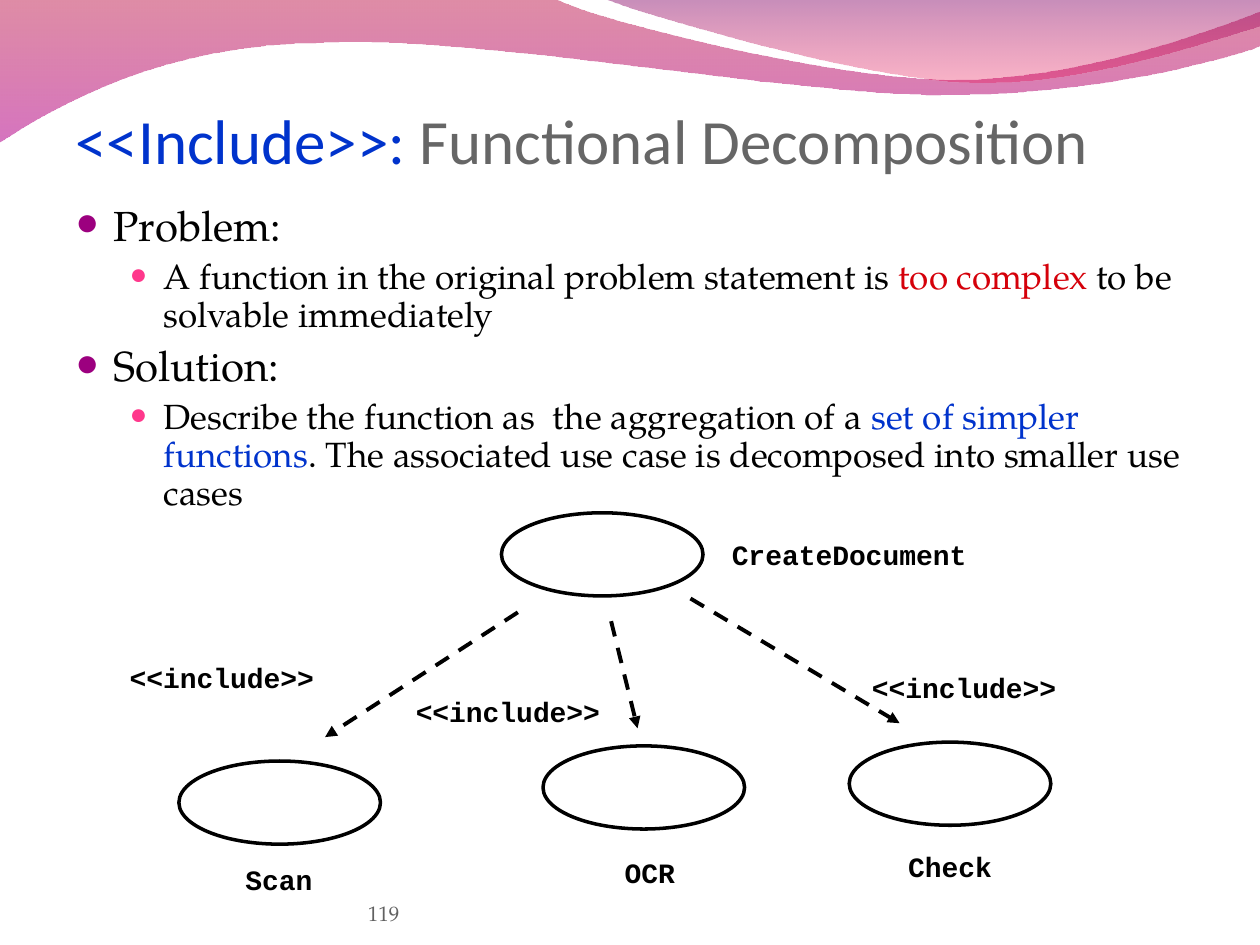
import pptx
import pptx.util
import pptx.dml.color
import pptx.enum.dml
import pptx.enum.shapes
import pptx.enum.text
import pptx.oxml
import pptx.oxml.ns

Inches = pptx.util.Inches
Pt = pptx.util.Pt
RGBColor = pptx.dml.color.RGBColor
MSO_ANCHOR = pptx.enum.text.MSO_ANCHOR
qn = pptx.oxml.ns.qn
NAMESPACE = pptx.oxml.ns.nsdecls("a")

BLACK = RGBColor(0x00, 0x00, 0x00)
BLUE = RGBColor(0x00, 0x33, 0xCC)
RED = RGBColor(0xD5, 0x00, 0x0A)
TITLE_GRAY = RGBColor(0x66, 0x66, 0x66)
NUMBER_GRAY = RGBColor(0x61, 0x61, 0x61)
PURPLE = RGBColor(0x9C, 0x00, 0x7F)
HOT_PINK = RGBColor(0xFF, 0x38, 0x8C)
ROSE = RGBColor(0xB8, 0x00, 0x3B)
MAGENTA = RGBColor(0xB4, 0x00, 0x8B)
PLUM = RGBColor(0x82, 0x00, 0x66)
PINK = RGBColor(0xF1, 0x00, 0x44)

SERIF, SANS, MONO = "TeX Gyre Pagella", "Calibri", "Courier New"

TITLE = [("<<Include>>:", BLUE), (" Functional Decomposition", TITLE_GRAY)]
BODY = [
    (0, [("Problem:", BLACK)]),
    (1, [("A function in the original problem statement is ", BLACK),
         ("too complex", RED),
         (" to be solvable immediately", BLACK)]),
    (0, [("Solution:", BLACK)]),
    (1, [("Describe the function as  the aggregation of a ", BLACK),
         ("set of simpler functions", BLUE),
         (". The associated use case is decomposed into smaller use cases", BLACK)]),
]
LEVELS = [
    dict(size=24, before=6, margin=0.3, hang=0.3, bullet=PURPLE, scale=95),
    dict(size=20, before=5, margin=0.7, hang=0.27, bullet=HOT_PINK, scale=85),
]
USE_CASES = [
    ("CreateDocument", (3.98, 4.07), (5.71, 4.22, 2.06)),
    ("Scan", (1.42, 6.04), (1.85, 6.8, 0.73)),
    ("OCR", (4.31, 5.92), (4.86, 6.74, 0.59)),
    ("Check", (6.74, 5.89), (7.11, 6.69, 0.86)),
]
INCLUDES = [
    ((4.11, 4.86), (2.58, 5.85), (1.03, 5.24)),
    ((4.85, 4.93), (5.06, 5.78), (3.3, 5.51)),
    ((5.48, 4.75), (7.14, 5.74), (6.92, 5.32)),
]
WAVES = [
    ([[(0, -0.01)], [(4.4, -0.01)],
      [(4.76, 0.17), (6.64, 0.63), (7.58, 0.63)],
      [(8.53, 0.63), (9.58, 0.26), (10, 0.09)], [(10.01, 0.36)],
      [(9.83, 0.44), (8.7, 0.76), (7.46, 0.75)],
      [(6.22, 0.75), (3.82, 0.28), (2.57, 0.34)],
      [(1.29, 0.35), (0.46, 0.83), (-0.01, 1.13)]],
     [(ROSE, 45), (MAGENTA, 55)]),
    ([[(4.79, -0.01)],
      [(5.09, 0.11), (6.82, 0.62), (7.69, 0.65)],
      [(8.56, 0.69), (9.61, 0.32), (10, 0.21)], [(10, 0)]],
     [(PLUM, 45), (PINK, 30)]),
]


def element(markup):
    tag, _, rest = markup.partition(" ")
    return pptx.oxml.parse_xml(f"<a:{tag} {NAMESPACE} {rest}")


def bend_segments(wave, segments):
    lines = iter(wave.element.findall(".//" + qn("a:lnTo")))
    for segment in segments[1:]:
        pieces = [next(lines) for _ in segment]
        if len(pieces) == 3:
            curve = element("cubicBezTo />")
            pieces[0].addprevious(curve)
            for piece in pieces:
                curve.append(piece[0])
                piece.getparent().remove(piece)


def add_wave(slide, segments, stops):
    points = [(Inches(x), Inches(y)) for segment in segments for x, y in segment]
    builder = slide.shapes.build_freeform(*points[0])
    builder.add_line_segments(points[1:], close=True)
    wave = builder.convert_to_shape()
    bend_segments(wave, segments)
    wave.shadow.inherit = False
    wave.line.fill.background()
    wave.fill.gradient()
    wave.fill.gradient_angle = 270
    for stop, (color, _) in zip(wave.fill.gradient_stops, stops):
        stop.color.rgb = color
    tints = wave.element.spPr.findall(".//" + qn("a:srgbClr"))
    for tint, (_, opacity) in zip(tints, stops):
        tint.append(element(f'alpha val="{opacity * 1000}"/>'))


def add_runs(paragraph, runs, font, size, bold=False):
    for text, color in runs:
        run = paragraph.add_run()
        run.text = text
        run.font.name = font
        run.font.size = Pt(size)
        run.font.bold = bold
        run.font.color.rgb = color


def set_frame(frame, inset=(0.1, 0.05), anchor=MSO_ANCHOR.TOP, wrap=True):
    frame.auto_size = pptx.enum.text.MSO_AUTO_SIZE.NONE
    frame.word_wrap = wrap
    frame.vertical_anchor = anchor
    frame.margin_left = frame.margin_right = Inches(inset[0])
    frame.margin_top = frame.margin_bottom = Inches(inset[1])


def add_text(slide, box, runs, font, size, bold=False, **frame_options):
    frame = slide.shapes.add_textbox(*map(Inches, box)).text_frame
    set_frame(frame, **frame_options)
    add_runs(frame.paragraphs[0], runs, font, size, bold)


def add_bullet(paragraph, style):
    props = paragraph._p.get_or_add_pPr()
    props.set("marL", str(Inches(style["margin"])))
    props.set("indent", str(-Inches(style["hang"])))
    for markup in (f'buClr ><a:srgbClr val="{style["bullet"]}"/></a:buClr>',
                   f'buSzPct val="{style["scale"] * 1000}"/>',
                   f'buFont typeface="{MONO}"/>',
                   'buChar char="●"/>'):
        props.append(element(markup))


def add_body(slide):
    frame = slide.shapes.add_textbox(*map(Inches, (0.5, 1.58, 9.03, 2.75))).text_frame
    set_frame(frame)
    for index, (level, runs) in enumerate(BODY):
        paragraph = frame.add_paragraph() if index else frame.paragraphs[0]
        style = LEVELS[level]
        paragraph.level = level
        paragraph.line_spacing = 0.9
        paragraph.space_before = Pt(style["before"] if index else 0)
        add_bullet(paragraph, style)
        add_runs(paragraph, runs, SERIF, style["size"])


def add_use_case(slide, name, corner, label_box):
    oval = slide.shapes.add_shape(pptx.enum.shapes.MSO_SHAPE.OVAL,
                                  *map(Inches, (*corner, 1.6, 0.66)))
    oval.shadow.inherit = False
    oval.fill.background()
    oval.line.color.rgb = BLACK
    oval.line.width = Pt(2)
    add_text(slide, (*label_box, 0.36), [(name, BLACK)], MONO, 16, True, wrap=False)


def add_include(slide, start, end, label_corner):
    arrow = slide.shapes.add_connector(pptx.enum.shapes.MSO_CONNECTOR.STRAIGHT,
                                       *map(Inches, (*start, *end)))
    arrow.line.color.rgb = BLACK
    arrow.line.width = Pt(2.25)
    arrow.line.dash_style = pptx.enum.dml.MSO_LINE.DASH
    arrow.line._get_or_add_ln().append(element('tailEnd type="triangle"/>'))
    arrow._element.spPr.append(element("effectLst />"))
    add_text(slide, (*label_corner, 1.46, 0.27), [("<<include>>", BLACK)],
             MONO, 16, True, inset=(0, 0), wrap=False)


def main():
    deck = pptx.Presentation()
    deck.slide_width, deck.slide_height = Inches(10), Inches(7.5)
    slide = deck.slides.add_slide(deck.slide_layouts[5])

    for segments, stops in WAVES:
        add_wave(slide, segments, stops)

    title = slide.shapes.title
    slide.shapes.element.append(title.element)
    title.left, title.top, title.width, title.height = map(Inches, (0.5, 0.5, 9.25, 1.21))
    set_frame(title.text_frame, anchor=MSO_ANCHOR.MIDDLE)
    heading = title.text_frame.paragraphs[0]
    heading.alignment = pptx.enum.text.PP_ALIGN.LEFT
    add_runs(heading, TITLE, SANS, 36)

    add_body(slide)
    add_text(slide, (2.92, 6.95, 3.67, 0.4), [("119", NUMBER_GRAY)], SERIF, 12,
             inset=(0, 0), anchor=MSO_ANCHOR.BOTTOM)
    for use_case in USE_CASES:
        add_use_case(slide, *use_case)
    for include in INCLUDES:
        add_include(slide, *include)
    deck.save("out.pptx")


if __name__ == "__main__":
    main()
